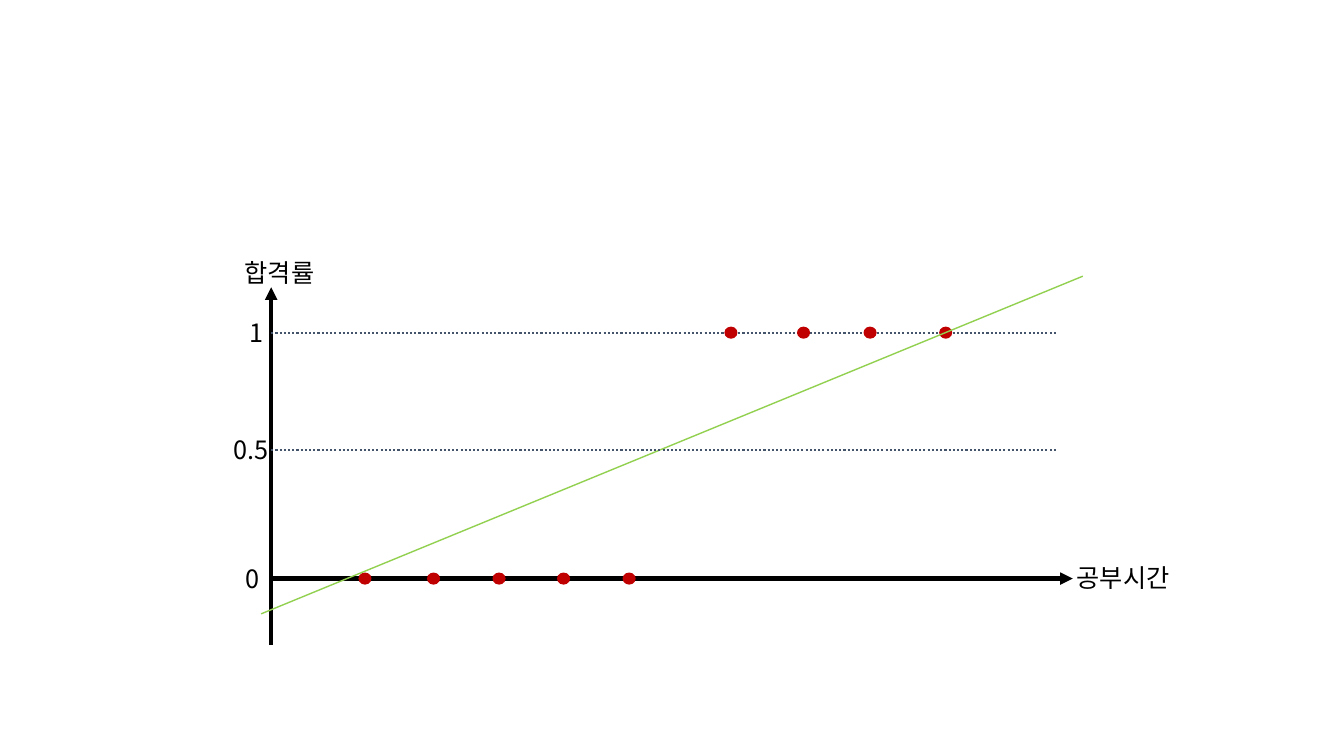
from dataclasses import dataclass

from lxml import etree
from pptx import Presentation
from pptx.dml.color import RGBColor
from pptx.enum import dml, shapes, text
from pptx.oxml import ns
from pptx.util import Inches, Pt


@dataclass(frozen=True)
class Theme:
    font: str = "Noto Sans CJK KR"
    label_size: int = 18
    ink: str = "000000"
    guide: str = "44546A"
    sample: str = "C00000"
    fit: str = "92D050"
    axis_width: float = 3
    guide_width: float = 1.5
    fit_width: float = 1


THEME = Theme()


def add_line(slide, start, end, color, width, dash=None, arrow=False):
    line = slide.shapes.add_connector(
        shapes.MSO_CONNECTOR.STRAIGHT, *map(Inches, (*start, *end)))
    line.line.color.rgb = RGBColor.from_string(color)
    line.line.width = Pt(width)
    if dash:
        line.line.dash_style = dash
    if arrow:
        etree.SubElement(line.line._get_or_add_ln(), ns.qn("a:tailEnd"), type="triangle")
    etree.SubElement(line._element.spPr, ns.qn("a:effectLst"))


def add_label(slide, left, top, width, wording):
    label = slide.shapes.add_textbox(*map(Inches, (left, top, width, 0.4)))
    frame = label.text_frame
    frame.word_wrap = False
    frame.auto_size = text.MSO_AUTO_SIZE.SHAPE_TO_FIT_TEXT
    run = frame.paragraphs[0].add_run()
    run.text = wording
    run.font.name = THEME.font
    run.font.size = Pt(THEME.label_size)
    run.font.color.rgb = RGBColor.from_string(THEME.ink)
    etree.SubElement(run.font._element, ns.qn("a:ea"), typeface=THEME.font)


def add_sample(slide, center_x, center_y):
    width, height = 0.13, 0.12
    dot = slide.shapes.add_shape(
        shapes.MSO_SHAPE.OVAL,
        Inches(center_x - width / 2), Inches(center_y - height / 2),
        Inches(width), Inches(height))
    dot.shadow.inherit = False
    dot.fill.solid()
    dot.fill.fore_color.rgb = RGBColor.from_string(THEME.sample)
    dot.line.fill.background()


def draw_pass_rate_plot(slide, left, top, width, height):
    """Plot pass rate against study time, with the axes filling the given box."""
    right, bottom = left + width, top + height
    rate_y = {"0": top + 2.89, "0.5": top + 1.61, "1": top + 0.45}

    def add_guide(rate):
        y = rate_y[rate]
        add_line(slide, (left, y), (right - 0.15, y), THEME.guide,
                 THEME.guide_width, dash=dml.MSO_LINE.ROUND_DOT)

    add_line(slide, (left - 0.02, rate_y["0"]), (right, rate_y["0"]),
             THEME.ink, THEME.axis_width, arrow=True)
    add_line(slide, (left, bottom), (left, top),
             THEME.ink, THEME.axis_width, arrow=True)
    add_guide("1")

    rate_labels = {"1": (-0.31, 0.31), "0": (-0.35, 0.31), "0.5": (-0.47, 0.6)}
    for rate, (offset, label_width) in rate_labels.items():
        add_label(slide, left + offset, rate_y[rate] - 0.2, label_width, rate)
    add_label(slide, right - 0.06, rate_y["0"] - 0.21, 1.22, "공부시간")
    add_label(slide, left - 0.36, top - 0.35, 0.96, "합격률")

    study_times = {"0": (0.93, 1.61, 2.26, 2.9, 3.55),
                   "1": (4.56, 5.28, 5.94, 6.69)}
    for rate, times in study_times.items():
        for time in times:
            add_sample(slide, left + time, rate_y[rate])

    add_line(slide, (left - 0.1, bottom - 0.31), (right + 0.1, top - 0.11),
             THEME.fit, THEME.fit_width)
    add_guide("0.5")


def main():
    deck = Presentation()
    deck.slide_width, deck.slide_height = Inches(13.33), Inches(7.5)
    slide = deck.slides.add_slide(deck.slide_layouts.get_by_name("Blank"))
    draw_pass_rate_plot(slide, left=2.69, top=2.85, width=7.95, height=3.55)
    deck.save("out.pptx")


if __name__ == "__main__":
    main()
